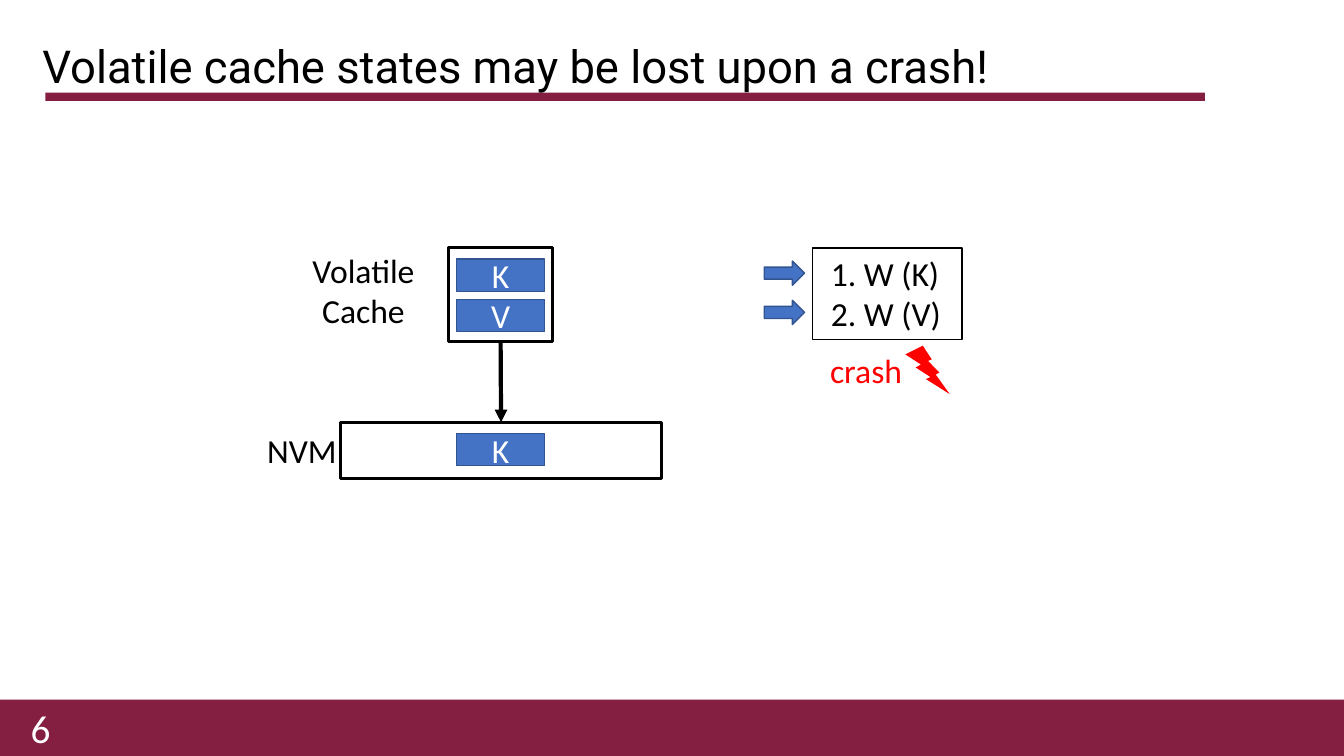
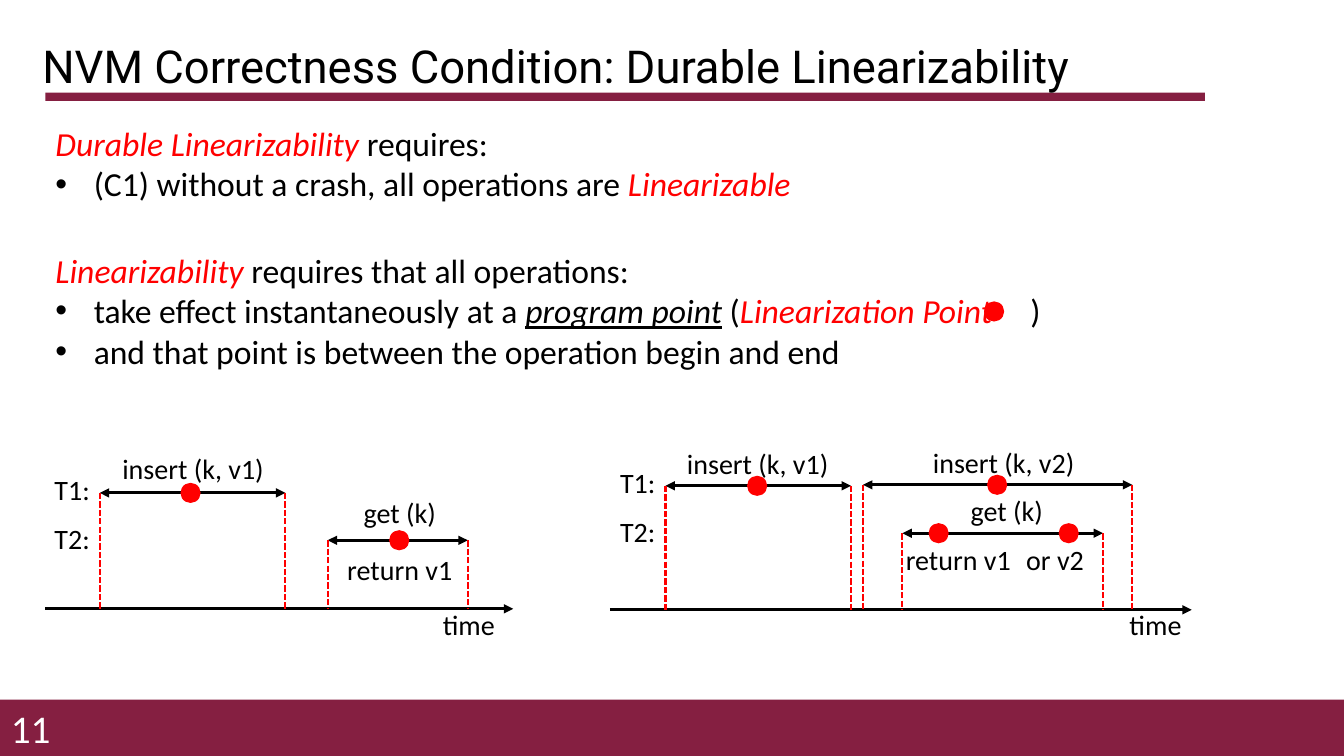
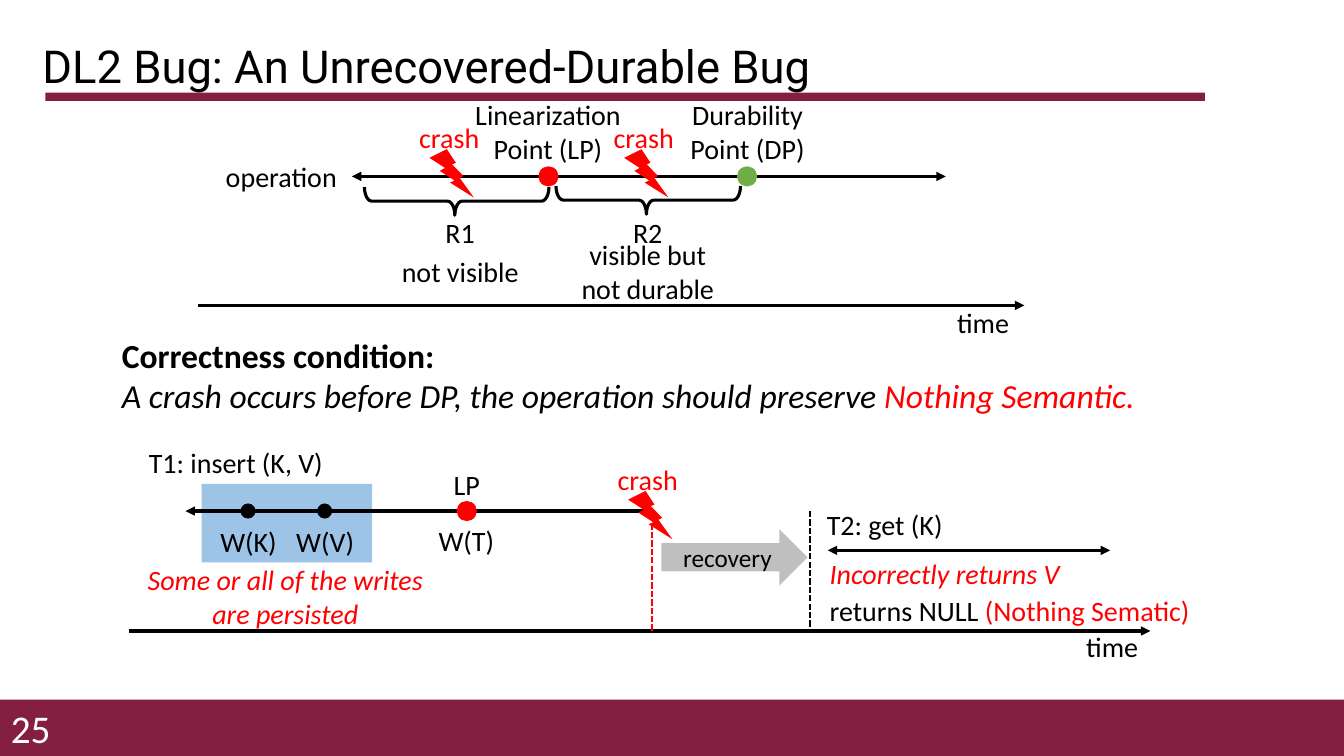
from lxml.etree import SubElement
from pptx import Presentation
from pptx.dml.color import RGBColor
from pptx.enum.dml import MSO_LINE
from pptx.enum.shapes import MSO_CONNECTOR, MSO_SHAPE as SHAPE, PP_PLACEHOLDER
from pptx.enum.text import MSO_ANCHOR as ANCHOR, MSO_AUTO_SIZE, PP_ALIGN as ALIGN
from pptx.oxml.ns import qn
from pptx.util import Inches, Pt

MAROON = RGBColor(0x85, 0x1F, 0x41)
BLACK = RGBColor(0, 0, 0)
WHITE = RGBColor(0xFF, 0xFF, 0xFF)
RED = RGBColor(0xFF, 0, 0)
GREEN = RGBColor(0x70, 0xAD, 0x47)
BLUE = RGBColor(0x44, 0x72, 0xC4)
NAVY = RGBColor(0x32, 0x54, 0x91)
SKY = RGBColor(0x9D, 0xC3, 0xE6)
GRAY = RGBColor(0xBF, 0xBF, 0xBF)

WIDTH, HEIGHT = 13.33, 7.5
BAND = 0.56
LABEL, LARGE = 20, 24
BOLT = (0.44, 0.48)
DOT = 0.2

# ---- Content: a span is (text, flags), flags r red, i italic, b bold, u underline
PAGES = [
    (6, "Volatile cache states may be lost upon a crash!"),
    (11, "NVM Correctness Condition: Durable Linearizability"),
    (25, "DL2 Bug: An Unrecovered-Durable Bug"),
]

# (bulleted, points before, spans)
CONDITIONS = [
    (False, 0, [("Durable Linearizability", "ri"), (" requires:", "")]),
    (True, 0, [("(C1) without a crash, all operations are ", ""), ("Linearizable", "ri")]),
    (False, 33, [("Linearizability", "ri"), (" requires that all operations:", "")]),
    (True, 0, [("take effect instantaneously at a ", ""), ("program point", "iu"), (" (", ""),
               ("Linearization Point", "ri"), ("\t)", "")]),
    (True, 0, [("and that point is between the operation begin and end", "")]),
]
POINT_TAB = 9.67

# span: arrow start and end; label: centre and top; points: dot centres
TIMELINES = [
    dict(axis=(0.45, 5.09, 6.04), threads=(0.42, 4.64), time=4.24, operations=[
        dict(text="insert (k, v1)", span=(0.99, 2.83), y=4.89, label=(1.91, 4.43), points=[1.89]),
        dict(text="get (k)", span=(3.25, 4.64), y=5.36, label=(3.96, 4.87), points=[3.96]),
    ], results=[("return v1", 3.14, 5.43, 1.65)]),
    dict(axis=(6.05, 11.82, 6.05), threads=(6.03, 4.57), time=11.05, operations=[
        dict(text="insert (k, v1)", span=(6.6, 8.44), y=4.82, label=(7.51, 4.38), points=[7.51]),
        dict(text="insert (k, v2)", span=(8.56, 11.23), y=4.81, label=(9.95, 4.37), points=[9.89]),
        dict(text="get (k)", span=(8.95, 10.94), y=5.29, label=(9.98, 4.85), points=[9.31, 10.6]),
    ], results=[("return v1", 8.84, 5.33, 1.33), ("or v2", 10.01, 5.33, 0.91)]),
]

# (text, left, top, width, lines)
BUG_LABELS = [
    ("operation", 2.12, 1.53, 1.34, 1),
    ("Linearization Point (LP)", 4.59, 0.92, 1.69, 2),
    ("Durability Point (DP)", 6.7, 0.92, 1.43, 2),
    ("R1", 3.85, 2.09, 1.43, 1),
    ("R2", 5.71, 2.09, 1.43, 1),
    ("not visible", 3.85, 2.48, 1.43, 1),
    (["visible but", "not durable"], 5.57, 2.31, 1.71, 2),
    ("time", 9.34, 2.98, 0.82, 1),
    ("T1: insert (K, V)", 1.34, 4.37, 2, 1),
    ("LP", 4.35, 4.59, 0.56, 1),
    ("W(K)", 2.07, 5.15, 0.79, 1),
    ("W(V)", 2.83, 5.15, 0.79, 1),
    ("W(T)", 4.13, 5.14, 0.99, 1),
    ("T2: get (K)", 7.95, 4.99, 1.65, 1),
    ("time", 10.62, 6.2, 0.82, 1),
]
CORRECTNESS = [
    [("Correctness condition:", "b")],
    [("A crash occurs before DP, the operation should preserve ", "i"),
     ("Nothing Semantic.", "ri")],
]
CRASHES = [(4.26, 1.48), (6.19, 1.48), (6.23, 4.87)]
BRACES = [(4.39, 1.08), (6.29, 1.07)]
# (centre x, centre y, diameter, colour)
BUG_DOTS = [(5.44, 1.75, DOT, RED), (7.41, 1.75, DOT, GREEN), (4.63, 5.07, DOT, RED),
            (2.46, 5.07, 0.15, BLACK), (3.22, 5.07, 0.15, BLACK)]


# ---- Helpers
def write(frame, paras, size=LABEL, color=BLACK, font="Calibri", align=ALIGN.CENTER,
          anchor=ANCHOR.TOP, spacing=None):
    """Fill a text frame; a paragraph is a string or a list of spans."""
    frame.word_wrap = True
    frame.auto_size = MSO_AUTO_SIZE.NONE
    frame.vertical_anchor = anchor
    for index, spans in enumerate([paras] if isinstance(paras, str) else paras):
        para = frame.add_paragraph() if index else frame.paragraphs[0]
        para.alignment = align
        para.line_spacing = spacing
        for text, flags in [(spans, "")] if isinstance(spans, str) else spans:
            span = para.add_run()
            span.text = text
            span.font.name, span.font.size = font, Pt(size)
            span.font.color.rgb = RED if "r" in flags else color
            span.font.bold = "b" in flags
            span.font.italic = "i" in flags
            span.font.underline = "u" in flags


def label(page, paras, left, top, width, lines=1, size=LABEL, **style):
    height = 0.1 + lines * size * 1.2 / 72
    box = page.shapes.add_textbox(Inches(left), Inches(top), Inches(width), Inches(height))
    write(box.text_frame, paras, size=size, **style)
    return box


def draw(page, kind, left, top, width, height, fill=None, line=None, weight=1.0):
    shape = page.shapes.add_shape(kind, Inches(left), Inches(top), Inches(width), Inches(height))
    shape.shadow.inherit = False
    if fill is None:
        shape.fill.background()
    else:
        shape.fill.solid()
        shape.fill.fore_color.rgb = fill
    if line is None:
        shape.line.fill.background()
    else:
        shape.line.color.rgb = line
        shape.line.width = Pt(weight)
    return shape


def dot(page, x, y, size=DOT, color=RED):
    draw(page, SHAPE.OVAL, x - size / 2, y - size / 2, size, size, color)


def connect(page, x1, y1, x2, y2, color=BLACK, weight=2.25, dashed=False, heads=""):
    """Draw a line; heads holds '<' for the start and '>' for the end."""
    line = page.shapes.add_connector(MSO_CONNECTOR.STRAIGHT, Inches(x1), Inches(y1),
                                     Inches(x2), Inches(y2))
    line.line.color.rgb = color
    line.line.width = Pt(weight)
    if dashed:
        line.line.dash_style = MSO_LINE.SQUARE_DOT
    properties = line.element.spPr
    for mark, tag in (("<", "a:headEnd"), (">", "a:tailEnd")):
        if mark in heads:
            SubElement(properties.find(qn("a:ln")), qn(tag), type="triangle")
    SubElement(properties, qn("a:effectLst"))
    return line


def drop(page, x, top, bottom, color=RED):
    connect(page, x, top, x, bottom, color=color, weight=1.5, dashed=True)


def crash(page, x, y, dx=-0.22, dy=-0.33, width=0.83, size=LABEL):
    draw(page, SHAPE.LIGHTNING_BOLT, x, y, *BOLT, fill=RED)
    label(page, "crash", x + dx, y + dy, width, size=size, color=RED)


def set_bullet(para, bulleted, tab=None):
    properties = para._p.get_or_add_pPr()
    indent = Inches(0.38) if bulleted else 0
    properties.set("marL", str(indent))
    properties.set("indent", str(-indent))
    if bulleted:
        SubElement(properties, qn("a:buFont"), typeface="Arial")
        SubElement(properties, qn("a:buChar"), char="•")
    else:
        SubElement(properties, qn("a:buNone"))
    if tab:
        tabs = SubElement(properties, qn("a:tabLst"))
        SubElement(tabs, qn("a:tab"), pos=str(Inches(tab)), algn="l")


def place(shape, left, top, width, height):
    shape.left, shape.top = Inches(left), Inches(top)
    shape.width, shape.height = Inches(width), Inches(height)


def set_master(deck, page):
    """Move the two bands to the master and place its title."""
    master = deck.slide_master
    place(master.placeholders.get(PP_PLACEHOLDER.TITLE), 0.32, 0.4, 11.5, 0.56)
    bands = [(0, HEIGHT - BAND, WIDTH, BAND), (0.45, 0.92, 11.5, 0.08)]
    for index, area in enumerate(bands):
        band = draw(page, SHAPE.RECTANGLE, *area, fill=MAROON).element
        band.nvSpPr.cNvPr.set("id", str(100 + index))
        master.shapes.element.insert(2 + index, band)


def add_page(deck, layout, number, title):
    page = deck.slides.add_slide(deck.slide_layouts[layout])
    write(page.shapes.title.text_frame, title, size=32.4, font="Roboto", align=ALIGN.LEFT,
          anchor=ANCHOR.MIDDLE, spacing=0.9)
    label(page, str(number), -0.11, 6.94, 0.71, size=28, color=WHITE, align=ALIGN.RIGHT,
          anchor=ANCHOR.MIDDLE)
    return page


# ---- Slides
def fill_cache(page):
    cache = draw(page, SHAPE.RECTANGLE, 4.45, 2.46, 1.03, 0.93, WHITE, BLACK, 2.25)
    memory = draw(page, SHAPE.RECTANGLE, 3.38, 4.19, 3.18, 0.56, WHITE, BLACK, 2.25)
    flow = connect(page, 4.96, 3.39, 4.97, 4.19, weight=3, heads=">")
    flow.begin_connect(cache, 2)
    flow.end_connect(memory, 0)
    for name, top in (("K", 2.57), ("V", 2.97), ("K", 4.3)):
        cell = draw(page, SHAPE.RECTANGLE, 4.53, top, 0.87, 0.32, BLUE, NAVY)
        write(cell.text_frame, name, size=LARGE, color=WHITE, anchor=ANCHOR.MIDDLE)
    label(page, ["Volatile", "Cache"], 2.95, 2.43, 1.31, lines=2, size=LARGE,
          anchor=ANCHOR.MIDDLE)
    label(page, "NVM", 2.52, 4.22, 0.95, size=LARGE, anchor=ANCHOR.MIDDLE)
    # Program and crash
    program = draw(page, SHAPE.RECTANGLE, 8.06, 2.46, 1.48, 0.91, WHITE, BLACK)
    write(program.text_frame, ["1. W (K)", "2. W (V)"], size=LARGE, align=ALIGN.LEFT)
    program.text_frame.margin_left = Inches(0.18)
    program.text_frame.margin_right = 0
    for top in (2.59, 2.98):
        draw(page, SHAPE.RIGHT_ARROW, 7.58, top, 0.4, 0.24, BLUE, NAVY)
    crash(page, 8.98, 3.43, dx=-0.93, dy=-0.01, width=1.08, size=LARGE)


def add_timeline(page, axis, threads, time, operations, results):
    start, end, base = axis
    connect(page, start, base, end, base, heads=">")
    label(page, "time", time, 5.98, 0.82)
    for row, name in enumerate(("T1:", "T2:")):
        label(page, name, threads[0], threads[1] + row * 0.48, 0.59)
    for operation in operations:
        (left, right), y = operation["span"], operation["y"]
        connect(page, left, y, right, y, heads="<>")
        for x in (left, right):
            drop(page, x, y, base)
        middle, top = operation["label"]
        label(page, operation["text"], middle - 0.82, top, 1.65)
        for x in operation["points"]:
            dot(page, x, y)
    for result in results:
        label(page, *result)


def fill_condition(page):
    body = page.placeholders[1]
    place(body, 0.45, 1.17, 12.57, 2.57)
    write(body.text_frame, [spans for _, _, spans in CONDITIONS], size=LARGE, align=ALIGN.LEFT)
    for para, (bulleted, before, spans) in zip(body.text_frame.paragraphs, CONDITIONS):
        set_bullet(para, bulleted, POINT_TAB if "\t" in spans[-1][0] else None)
        para.space_before = Pt(before)
    dot(page, 9.86, 3.09)
    for timeline in TIMELINES:
        add_timeline(page, **timeline)


def fill_bug(page):
    draw(page, SHAPE.RECTANGLE, 2, 4.8, 1.69, 0.78, SKY)
    # Axes and operations
    for x1, x2, y, heads in ((1.96, 10.16, 3.03, ">"), (3.49, 9.38, 1.75, "<>"),
                             (1.28, 11.41, 6.26, ">"), (1.84, 6.47, 5.07, "<"),
                             (8.21, 11.01, 5.46, "<>")):
        connect(page, x1, y, x2, y, heads=heads)
    drop(page, 6.47, 5.11, 6.26)
    drop(page, 8.03, 5.07, 6.26, color=BLACK)
    for left, top in BRACES:
        brace = draw(page, SHAPE.LEFT_BRACE, left, top, 0.28, 1.83, line=BLACK, weight=2.25)
        brace.rotation = 270
        brace.adjustments[0], brace.adjustments[1] = 0.26, 0.49
    for spot in BUG_DOTS:
        dot(page, *spot)
    recovery = draw(page, SHAPE.RIGHT_ARROW, 6.56, 5.25, 1.45, 0.56, GRAY)
    write(recovery.text_frame, "recovery", size=18, anchor=ANCHOR.MIDDLE)
    # Words
    for item in BUG_LABELS:
        label(page, *item)
    label(page, CORRECTNESS, 1.11, 3.27, 10.45, lines=2, size=LARGE, align=ALIGN.LEFT)
    label(page, [[("Some or all of the writes are persisted", "ri")]], 1.32, 5.53, 3.02, lines=2)
    label(page, [[("Incorrectly returns V", "ri")]], 8.13, 5.47, 3.46, align=ALIGN.LEFT)
    label(page, [[("returns NULL ", ""), ("(Nothing Sematic)", "r")]], 8.13, 5.84, 4.02,
          align=ALIGN.LEFT)
    for x, y in CRASHES:
        crash(page, x, y)


def main():
    deck = Presentation()
    deck.slide_width, deck.slide_height = Inches(WIDTH), Inches(HEIGHT)
    title_only, title_and_body = 5, 1
    layouts = (title_only, title_and_body, title_only)
    fillers = (fill_cache, fill_condition, fill_bug)
    for (number, title), layout, filler in zip(PAGES, layouts, fillers):
        page = add_page(deck, layout, number, title)
        filler(page)
    set_master(deck, deck.slides[0])
    deck.save("out.pptx")


if __name__ == "__main__":
    main()
